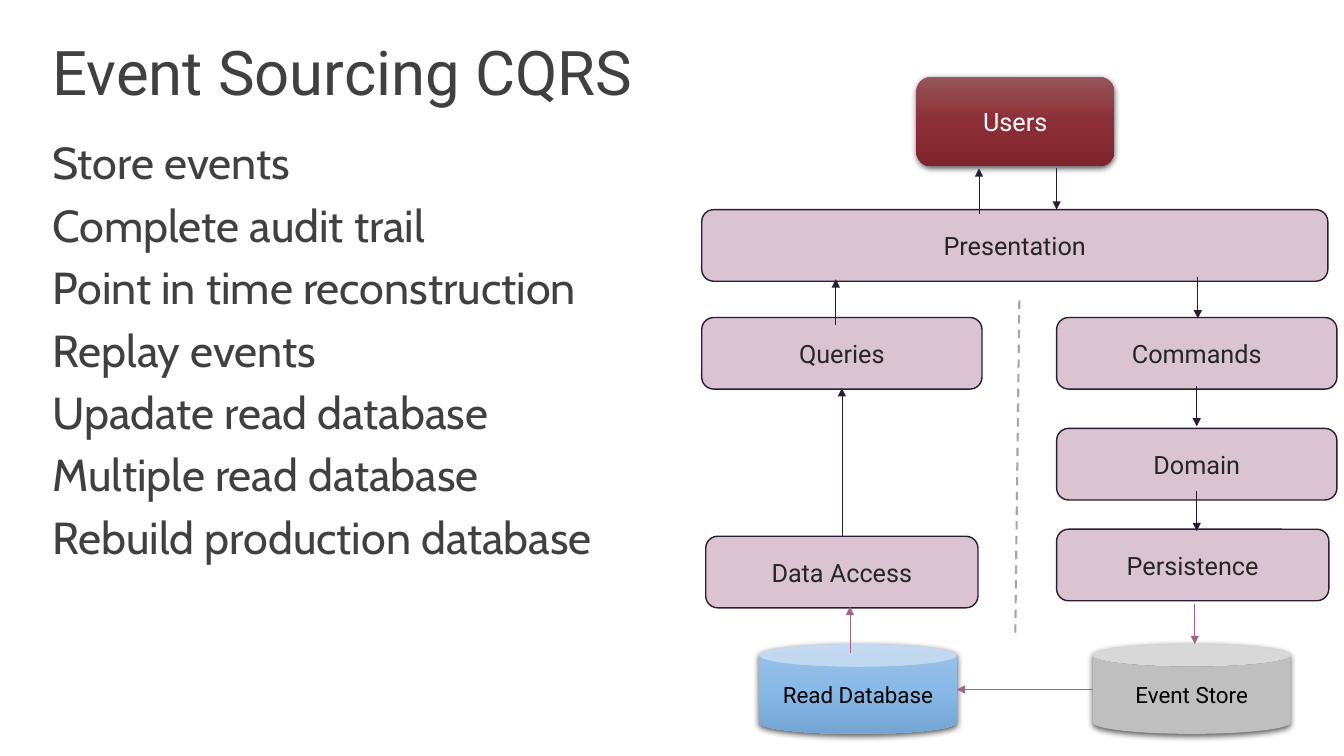
"""Build the Event Sourcing CQRS slide."""
from copy import deepcopy

from pptx import Presentation
from pptx.dml.color import RGBColor
from pptx.enum import dml, shapes, text
from pptx.oxml import ns, xmlchemy
from pptx.util import Inches, Pt

TITLE = "Event Sourcing CQRS"
POINTS = [
    "Store events",
    "Complete audit trail",
    "Point in time reconstruction",
    "Replay events",
    "Upadate read database",
    "Multiple read database",
    "Rebuild production database",
]

THEME = {
    "heading_font": "Roboto",
    "body_font": "Cabin",
    "title_size": 44,
    "body_size": 32,
    "text": "404040",
    "ink": "291C34",
    "flow": "9F658B",
    "divider": "A6A6A6",
    "shadow": "000000",
}
STYLES = {
    "layer": {"fill": ["DBC4D2"], "font": "262626", "size": 18, "outlined": True},
    "users": {"fill": ["96565A", "8C2E36", "80252D"], "font": "FFFFFF", "size": 18, "outlined": False},
    "read": {"fill": ["9BC2E7", "89BAE7", "74A6D3"], "font": "000000", "size": 16, "outlined": False},
    "store": {"fill": ["BFBFBF"], "font": "000000", "size": 16, "outlined": False},
}

BOX, CYLINDER = shapes.MSO_SHAPE.ROUNDED_RECTANGLE, shapes.MSO_SHAPE.CAN
LAYER_HEIGHT = 0.71
READ_LEFT, WRITE_LEFT = 6.96, 10.48
STORE_SIZE = (1.96, 0.89)
STORE_TOP = 6.39
LAYERS = [
    ("Presentation", READ_LEFT, 2.08, 6.21),
    ("Commands", WRITE_LEFT, 3.15, 2.78),
    ("Domain", WRITE_LEFT, 4.25, 2.78),
    ("Persistence", WRITE_LEFT, 5.25, 2.7),
    ("Queries", READ_LEFT, 3.15, 2.78),
    ("Data Access", 7, 5.32, 2.7),
]
STORES = [
    ("Users", BOX, "users", 9.09, 0.76),
    ("Read Database", CYLINDER, "read", 7.53, STORE_TOP),
    ("Event Store", CYLINDER, "store", 10.84, STORE_TOP),
]
VERTICAL_ARROWS = [
    (10.48, 1.67, 2.08, "ink"),
    (11.88, 2.75, 3.16, "ink"),
    (11.87, 3.83, 4.23, "ink"),
    (11.87, 4.87, 5.27, "ink"),
    (11.85, 5.99, 6.39, "flow"),
    (9.71, 2.12, 1.67, "ink"),
    (8.29, 3.22, 2.77, "ink"),
    (8.43, 6.48, 6.02, "flow"),
    (8.35, 5.32, 3.85, "ink"),
]
STORE_ARROW = ((10.84, 6.84), (9.49, 6.84))
DIVIDER = ((10.11, 2.98), (10.07, 6.29))


def color(value):
    """Return the colour for a hex value."""
    return RGBColor.from_string(value)


def add_child(parent, tag, **attributes):
    """Append an XML child element with the given attributes."""
    child = xmlchemy.OxmlElement(tag)
    for name, value in attributes.items():
        child.set(name, str(value))
    parent.append(child)
    return child


def format_font(paragraph, name, size, value):
    """Set the font of every run in a paragraph."""
    for run in paragraph.runs:
        run.font.name = name
        run.font.size = Pt(size)
        run.font.color.rgb = color(value)


def fill_placeholder(shape, lines, box, font, size, space):
    """Place a placeholder and write its unbulleted lines."""
    shape.left, shape.top, shape.width, shape.height = map(Inches, box)
    frame = shape.text_frame
    frame.text = "\n".join(lines)
    frame.word_wrap = True
    frame.auto_size = text.MSO_AUTO_SIZE.NONE
    frame.vertical_anchor = text.MSO_ANCHOR.TOP
    frame.margin_left = frame.margin_right = Inches(0.16)
    frame.margin_top = frame.margin_bottom = Inches(0.1)
    for index, paragraph in enumerate(frame.paragraphs):
        properties = paragraph._p.get_or_add_pPr()
        properties.set("marL", "0")
        properties.set("indent", "0")
        add_child(properties, "a:buNone")
        paragraph.alignment = text.PP_ALIGN.LEFT
        paragraph.line_spacing = 0.9
        paragraph.space_before = Pt(space if index else 0)
        format_font(paragraph, font, size, THEME["text"])


def fill_shape(fill, values):
    """Fill with one colour or an evenly spaced vertical gradient."""
    if len(values) == 1:
        fill.solid()
        fill.fore_color.rgb = color(values[0])
        return
    fill.gradient()
    fill.gradient_angle = 270
    stop_list = fill.gradient_stops[0]._gs.getparent()
    stop_list.append(deepcopy(stop_list[-1]))
    for index, (stop, value) in enumerate(zip(fill.gradient_stops, values)):
        stop.position = index / (len(values) - 1)
        stop.color.rgb = color(value)


def add_shadow(shape):
    """Add a soft shadow below a shape."""
    effects = shape._element.spPr.find(ns.qn("a:effectLst"))
    shadow = add_child(effects, "a:outerShdw", blurRad=Pt(4.5), dist=Pt(1.5),
                       dir=5400000, algn="ctr", rotWithShape=0)
    shade = add_child(shadow, "a:srgbClr", val=THEME["shadow"])
    add_child(shade, "a:alpha", val=63000)


def add_node(slide, label, kind, style_name, box):
    """Add a labelled diagram shape."""
    style = STYLES[style_name]
    shape = slide.shapes.add_shape(kind, *map(Inches, box))
    fill_shape(shape.fill, style["fill"])
    if style["outlined"]:
        shape.line.color.rgb = color(THEME["ink"])
        shape.line.width = Pt(1)
    else:
        shape.line.fill.background()
    shape.shadow.inherit = False
    if not style["outlined"]:
        add_shadow(shape)
    frame = shape.text_frame
    frame.text = label
    frame.word_wrap = True
    frame.vertical_anchor = text.MSO_ANCHOR.MIDDLE
    paragraph = frame.paragraphs[0]
    paragraph.alignment = text.PP_ALIGN.CENTER
    format_font(paragraph, THEME["heading_font"], style["size"], style["font"])


def add_line(slide, start, end, color_name, width=0.5, arrow=True):
    """Add an arrow or a dashed divider."""
    connector = slide.shapes.add_connector(
        shapes.MSO_CONNECTOR.STRAIGHT, *map(Inches, start + end))
    connector.line.color.rgb = color(THEME[color_name])
    connector.line.width = Pt(width)
    if arrow:
        add_child(connector.line._get_or_add_ln(), "a:tailEnd", type="triangle")
    else:
        connector.line.dash_style = dml.MSO_LINE.DASH
    add_child(connector._element.spPr, "a:effectLst")


def main():
    """Create and save the presentation."""
    presentation = Presentation()
    presentation.slide_width, presentation.slide_height = Inches(13.33), Inches(7.5)
    slide = presentation.slides.add_slide(presentation.slide_layouts[1])
    fill_placeholder(slide.shapes.title, [TITLE], (0.36, 0.32, 12.55, 0.98),
                     THEME["heading_font"], THEME["title_size"], 0)
    fill_placeholder(slide.placeholders[1], POINTS, (0.36, 1.3, 12.55, 5.03),
                     THEME["body_font"], THEME["body_size"], 10)
    for label, kind, style_name, left, top in STORES:
        add_node(slide, label, kind, style_name, (left, top, *STORE_SIZE))
    for label, left, top, width in LAYERS:
        add_node(slide, label, BOX, "layer", (left, top, width, LAYER_HEIGHT))
    for x, start, end, color_name in VERTICAL_ARROWS:
        add_line(slide, (x, start), (x, end), color_name)
    add_line(slide, *DIVIDER, "divider", width=1.5, arrow=False)
    add_line(slide, *STORE_ARROW, "flow")
    presentation.save("out.pptx")


if __name__ == "__main__":
    main()
